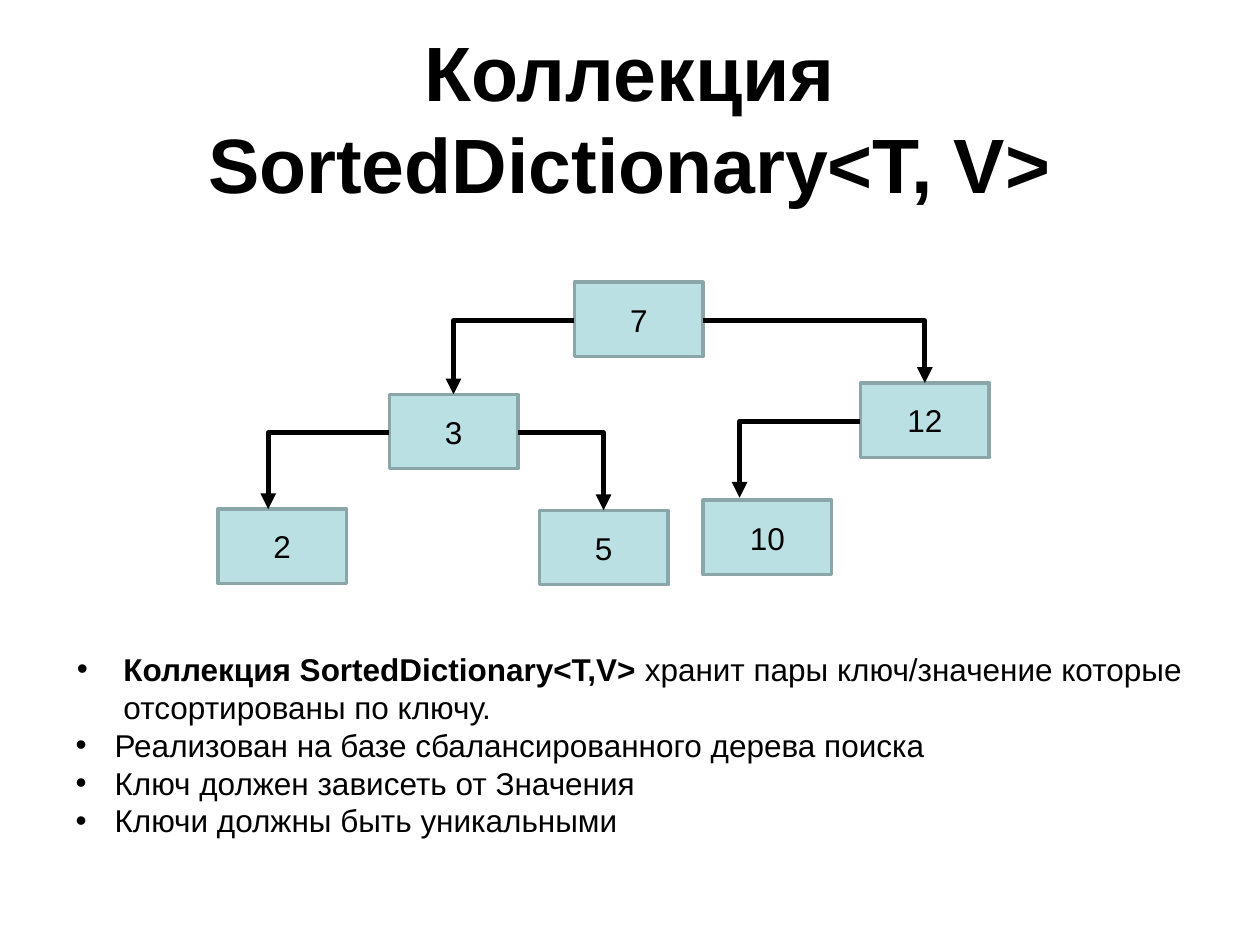
"""Build a slide on SortedDictionary with a search tree and a list of facts."""
from lxml.etree import SubElement as Sub
from pptx import Presentation
from pptx.dml.color import RGBColor
from pptx.enum.shapes import MSO_CONNECTOR as Link, MSO_SHAPE as Shape
from pptx.enum.text import MSO_ANCHOR as Anchor, MSO_AUTO_SIZE as Fit, PP_ALIGN as Align
from pptx.oxml.ns import qn
from pptx.util import Inches, Pt

TITLE = "Коллекция SortedDictionary<T, V>"
NODES = {
    "7": (4.56, 2.24),
    "3": (3.09, 3.13),
    "2": (1.73, 4.04),
    "5": (4.28, 4.05),
    "10": (5.58, 3.97),
    "12": (6.83, 3.04),
}
EDGES = [
    ("7", 3.6, 3.13),
    ("3", 2.13, 4.04),
    ("12", 5.87, 3.95),
    ("7", 7.34, 3.04),
    ("3", 4.79, 4.05),
]
FACTS = [
    (0.38, -0.37, [
        ("Коллекция SortedDictionary<T,V> ", True),
        ("хранит пары ключ/значение которые отсортированы по ключу.", False),
    ]),
    (0.31, -0.31, [("Реализован на базе сбалансированного дерева поиска", False)]),
    (0.31, -0.31, [("Ключ должен зависеть от Значения", False)]),
    (0.31, -0.31, [("Ключи должны быть уникальными", False)]),
]
WIDE, HIGH = 1.02, 0.59
BLACK, FILL, EDGE = "000000", "BBE0E3", "8AA6A8"


def paint(color, code):
    color.rgb = RGBColor.from_string(code)


def style(font, size, bold=False):
    for key, value in {"name": "Arial", "size": Pt(size), "bold": bold}.items():
        setattr(font, key, value)
    paint(font.color, BLACK)


def place(shape, left, top, width, height):
    spot = {"left": left, "top": top, "width": width, "height": height}
    for key, value in spot.items():
        setattr(shape, key, Inches(value))


def add_title(slide):
    title = slide.shapes.title
    place(title, 0.5, 0.3, 9, 1.25)
    frame = title.text_frame
    frame.text = TITLE
    frame.auto_size = Fit.NONE
    frame.vertical_anchor = Anchor.MIDDLE
    line = frame.paragraphs[0]
    line.alignment = Align.CENTER
    style(line.runs[0].font, 44, True)


def add_node(tree, label, left, top):
    box = tree.shapes.add_shape(
        Shape.RECTANGLE, Inches(left), Inches(top), Inches(WIDE), Inches(HIGH))
    box.shadow.inherit = False
    box.fill.solid()
    paint(box.fill.fore_color, FILL)
    paint(box.line.color, EDGE)
    box.line.width = Pt(2)
    frame = box.text_frame
    frame.text = label
    frame.vertical_anchor = Anchor.MIDDLE
    line = frame.paragraphs[0]
    line.alignment = Align.CENTER
    style(line.runs[0].font, 18)


def add_edge(tree, label, x, y):
    left, top = NODES[label]
    start = left + WIDE if x > left else left
    link = tree.shapes.add_connector(
        Link.ELBOW, Inches(start), Inches(top + HIGH / 2 + 0.01), Inches(x), Inches(y))
    paint(link.line.color, BLACK)
    link.line.width = Pt(3)
    props = link._element.spPr
    props.find(qn("a:prstGeom")).set("prst", "bentConnector2")
    Sub(props.find(qn("a:ln")), qn("a:tailEnd"), type="triangle")
    Sub(props, qn("a:effectLst"))


def add_facts(slide):
    body = slide.placeholders[1]
    place(body, 0.5, 5.11, 9.42, 1.62)
    frame = body.text_frame
    frame.auto_size = Fit.NONE
    for i, (margin, indent, parts) in enumerate(FACTS):
        line = frame.add_paragraph() if i else frame.paragraphs[0]
        props = line._p.get_or_add_pPr()
        props.set("marL", str(Inches(margin)))
        props.set("indent", str(Inches(indent)))
        Sub(props, qn("a:buChar"), char="•")
        line.space_before = Pt(0)
        for text, bold in parts:
            run = line.add_run()
            run.text = text
            style(run.font, 18, bold)


def main():
    deck = Presentation()
    deck.slide_width, deck.slide_height = Inches(10), Inches(7.5)
    slide = deck.slides.add_slide(deck.slide_layouts[1])
    add_title(slide)
    tree = slide.shapes.add_group_shape()
    for label, spot in NODES.items():
        add_node(tree, label, *spot)
    for edge in EDGES:
        add_edge(tree, *edge)
    add_facts(slide)
    deck.save("out.pptx")


if __name__ == "__main__":
    main()
